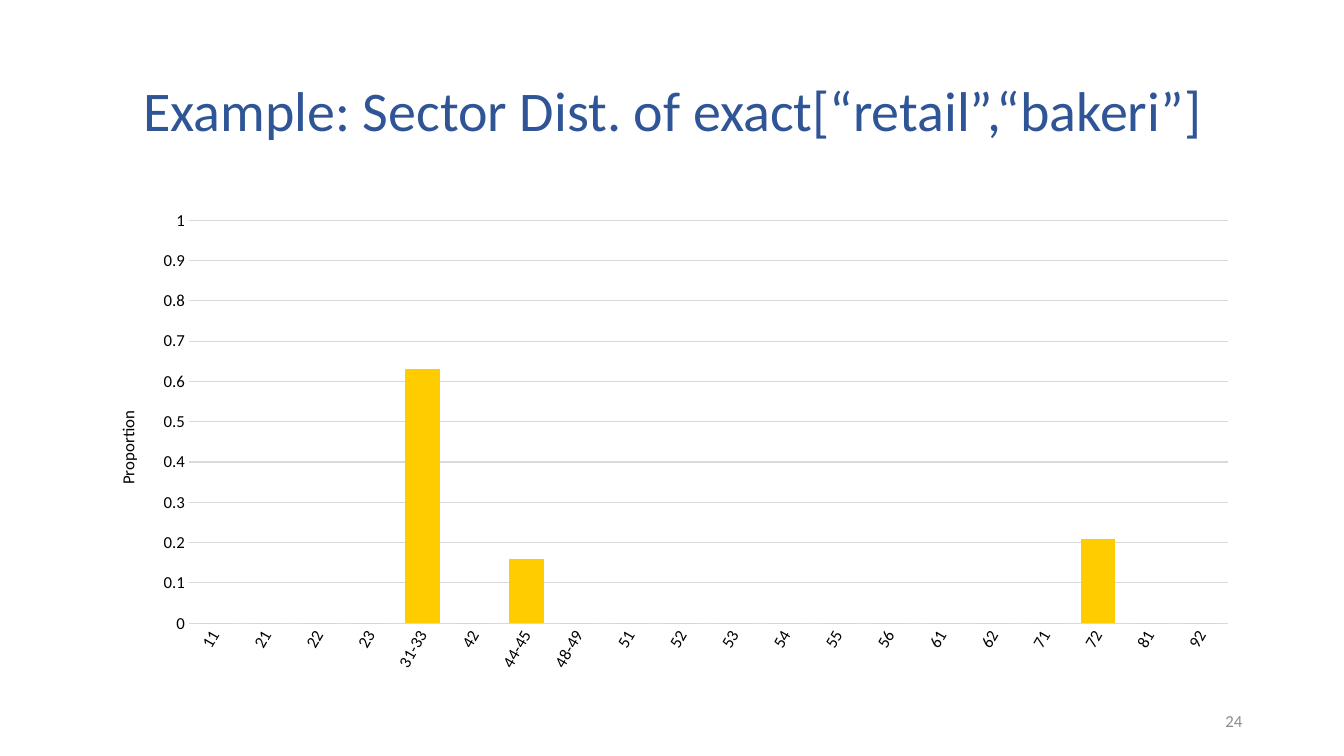
import pptx
import pptx.chart.data
import pptx.dml.color
import pptx.enum.chart
import pptx.enum.text
import pptx.oxml
import pptx.oxml.ns
import pptx.util
from dataclasses import dataclass
from pptx.util import Inches

TITLE = "Example: Sector Dist. of exact[“retail”,“bakeri”]"
PAGE_NUMBER = "24"
AXIS_TITLE = "Proportion"
SECTORS = ["11", "21", "22", "23", "31-33", "42", "44-45", "48-49", "51", "52",
           "53", "54", "55", "56", "61", "62", "71", "72", "81", "92"]
PROPORTIONS = {"31-33": 0.63, "44-45": 0.16, "72": 0.21}


@dataclass(frozen=True)
class Theme:
    font: str = "Calibri"
    title: str = "2F5597"
    muted: str = "8C8C8C"
    text: str = "000000"
    line: str = "D9D9D9"
    bar: str = "FFCC00"
    title_size: int = 40
    label_size: int = 12
    line_width: float = 0.75


THEME = Theme()
MARGIN, CONTENT_WIDTH = 0.92, 11.5
LABEL_ANGLE = -60


def color(value):
    return pptx.dml.color.RGBColor.from_string(value)


def format_font(font, size, value):
    font.name = THEME.font
    font.size = pptx.util.Pt(size)
    font.bold = False
    font.color.rgb = color(value)


def format_line(line):
    line.color.rgb = color(THEME.line)
    line.width = pptx.util.Pt(THEME.line_width)


def write_text(shape, text, size, value, alignment):
    frame = shape.text_frame
    frame.word_wrap = True
    frame.vertical_anchor = pptx.enum.text.MSO_ANCHOR.MIDDLE
    frame.text = text
    paragraph = frame.paragraphs[0]
    paragraph.alignment = alignment
    format_font(paragraph.runs[0].font, size, value)
    return paragraph


def make_layout(**settings):
    """Return a manual chart layout; sizes are fractions of the chart."""
    children = "".join(f'<c:{name} val="{value}"/>' for name, value in settings.items())
    return pptx.oxml.parse_xml(
        f'<c:layout {pptx.oxml.ns.nsdecls("c")}><c:manualLayout>{children}'
        '</c:manualLayout></c:layout>')


def place_plot(chart):
    plot_area = chart.element.find(".//" + pptx.oxml.ns.qn("c:plotArea"))
    for layout in plot_area.findall(pptx.oxml.ns.qn("c:layout")):
        plot_area.remove(layout)
    plot_area.insert(0, make_layout(layoutTarget="inner", xMode="edge", yMode="edge",
                                    x=0.083, y=0.039, w=0.896, h=0.84))


def place_axis_title(axis_title):
    element = axis_title.element if hasattr(axis_title, "element") else axis_title._element
    for layout in element.findall(pptx.oxml.ns.qn("c:layout")):
        element.remove(layout)
    element.find(pptx.oxml.ns.qn("c:tx")).addnext(
        make_layout(xMode="edge", yMode="edge", x=0.018, y=0.43))


def add_sector_chart(slide):
    data = pptx.chart.data.CategoryChartData()
    data.categories = SECTORS
    data.add_series("Series 1", [PROPORTIONS.get(sector, 0) for sector in SECTORS])
    chart = slide.shapes.add_chart(
        pptx.enum.chart.XL_CHART_TYPE.COLUMN_CLUSTERED, Inches(MARGIN), Inches(2),
        Inches(CONTENT_WIDTH), Inches(4.76), data).chart
    chart.has_title = False
    chart.has_legend = False
    format_font(chart.font, THEME.label_size, THEME.text)

    plot = chart.plots[0]
    plot.gap_width = 50
    plot.vary_by_categories = False
    fill = plot.series[0].format.fill
    fill.solid()
    fill.fore_color.rgb = color(THEME.bar)

    for axis in (chart.category_axis, chart.value_axis):
        axis.major_tick_mark = pptx.enum.chart.XL_TICK_MARK.NONE
        axis.minor_tick_mark = pptx.enum.chart.XL_TICK_MARK.NONE
        format_font(axis.tick_labels.font, THEME.label_size, THEME.text)
    sector_axis, proportion_axis = chart.category_axis, chart.value_axis
    format_line(sector_axis.format.line)
    label_body = sector_axis._element.find(
        pptx.oxml.ns.qn("c:txPr")).find(pptx.oxml.ns.qn("a:bodyPr"))
    label_body.set("rot", str(LABEL_ANGLE * 60000))
    label_body.set("vert", "horz")

    proportion_axis.minimum_scale = 0
    proportion_axis.maximum_scale = 1
    proportion_axis.major_unit = 0.1
    proportion_axis.tick_labels.number_format = "General"
    proportion_axis.tick_labels.number_format_is_linked = False
    proportion_axis.format.line.fill.background()
    proportion_axis.has_major_gridlines = True
    format_line(proportion_axis.major_gridlines.format.line)

    axis_title = proportion_axis.axis_title
    axis_title.text_frame.text = AXIS_TITLE
    format_font(axis_title.text_frame.paragraphs[0].runs[0].font,
                THEME.label_size, THEME.text)
    title_body = axis_title._element.find(".//" + pptx.oxml.ns.qn("a:bodyPr"))
    title_body.set("rot", str(-90 * 60000))
    title_body.set("vert", "horz")
    place_axis_title(axis_title)
    place_plot(chart)


def main():
    presentation = pptx.Presentation()
    presentation.slide_width = Inches(13.33)
    presentation.slide_height = Inches(7.5)
    title_only = presentation.slide_layouts.get_by_name("Title Only")
    slide = presentation.slides.add_slide(title_only)

    title = slide.shapes.title
    title.left, title.top = Inches(MARGIN), Inches(0.4)
    title.width, title.height = Inches(CONTENT_WIDTH), Inches(1.45)
    heading = write_text(title, TITLE, THEME.title_size, THEME.title,
                         pptx.enum.text.PP_ALIGN.CENTER)
    heading.line_spacing = 0.9

    number_width = 3
    number = slide.shapes.add_textbox(
        Inches(MARGIN + CONTENT_WIDTH - number_width), Inches(6.95),
        Inches(number_width), Inches(0.4))
    write_text(number, PAGE_NUMBER, THEME.label_size, THEME.muted,
               pptx.enum.text.PP_ALIGN.RIGHT)

    add_sector_chart(slide)
    presentation.save("out.pptx")


if __name__ == "__main__":
    main()
